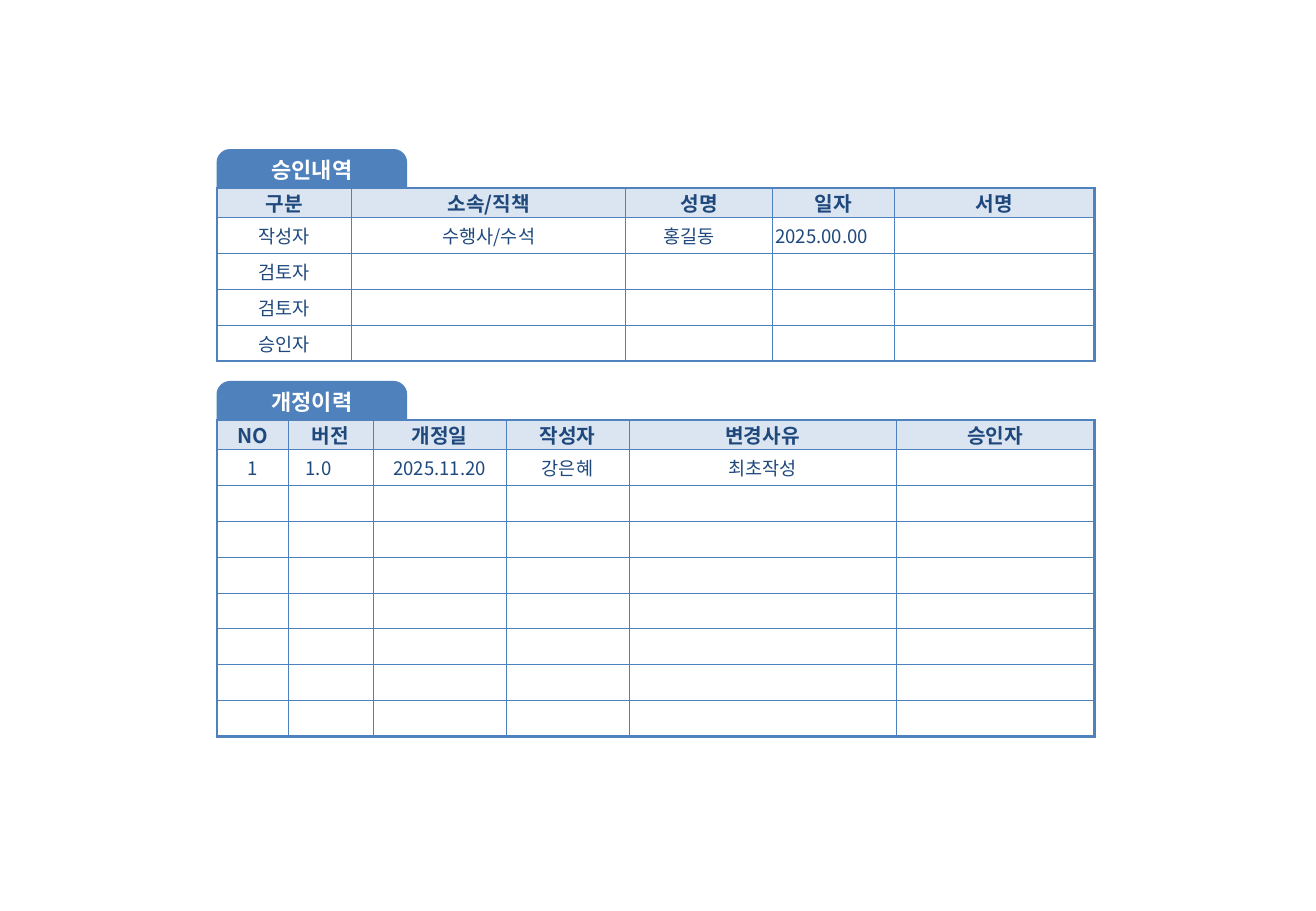
from dataclasses import dataclass, field

from lxml import etree
from pptx import Presentation
from pptx import util as u
from pptx.dml import color
from pptx.enum import shapes, text
from pptx.oxml import ns


@dataclass(frozen=True)
class Theme:
    font: str = "Noto Sans CJK KR"
    blue: str = "4F81BD"
    navy: str = "1F497D"
    pale: str = "DBE5F1"
    white: str = "FFFFFF"
    tab: float = 13
    head: float = 12
    body: float = 11
    thick: float = 1.5
    thin: float = 0.5


@dataclass(frozen=True)
class Section:
    title: str
    top: float
    widths: list[float]
    heads: list[str]
    rows: list[list[str]]
    pads: dict[int, float] = field(default_factory=dict)  # right inset by column


THEME = Theme()

# Shared measures in centimetres
LEFT, TAB_W, TAB_H = 4.54, 3.96, 0.8
HEAD_H, ROW_H = 0.62, 0.75

SECTIONS = [
    Section(
        "승인내역", 3.13,
        [2.81, 5.73, 3.07, 2.55, 4.18],
        ["구분", "소속/직책", "성명", "일자", "서명"],
        [["작성자", "수행사/수석", "홍길동", "2025.00.00"],
         ["검토자"], ["검토자"], ["승인자"]],
        {2: 0.42, 3: 0.5},
    ),
    Section(
        "개정이력", 7.98,
        [1.48, 1.78, 2.78, 2.57, 5.58, 4.15],
        ["NO", "버전", "개정일", "작성자", "변경사유", "승인자"],
        [["1", "1.0", "2025.11.20", "강은혜", "최초작성"]] + [[]] * 7,
        {1: 0.5},
    ),
]


def rgb(code: str) -> color.RGBColor:
    return color.RGBColor.from_string(code)


def write(frame, words: str, size: float, hue: str, bold: bool) -> None:
    para = frame.paragraphs[0]
    para.alignment = text.PP_ALIGN.CENTER
    if not words:
        # Keeps an empty cell from growing its row
        etree.SubElement(para._p, ns.qn("a:endParaRPr"), sz=str(int(size * 100)))
        return
    run = para.add_run()
    run.text = words
    font = run.font
    font.size, font.bold, font.name = u.Pt(size), bold, THEME.font
    font.color.rgb = rgb(hue)
    etree.SubElement(run._r.rPr, ns.qn("a:ea"), typeface=THEME.font)


def border(cell, outer: dict[str, bool]) -> None:
    props = cell._tc.get_or_add_tcPr()
    for side, edge in outer.items():
        width = u.Pt(THEME.thick if edge else THEME.thin)
        line = etree.SubElement(props, ns.qn(f"a:ln{side}"), w=str(int(width)))
        fill = etree.SubElement(line, ns.qn("a:solidFill"))
        etree.SubElement(fill, ns.qn("a:srgbClr"), val=THEME.blue)


def draw_grid(slide, part: Section) -> None:
    data = [part.heads] + part.rows
    tall, wide = len(data), len(part.widths)
    frame = slide.shapes.add_table(
        tall, wide, u.Cm(LEFT), u.Cm(part.top + TAB_H),
        u.Cm(sum(part.widths)), u.Cm(HEAD_H + ROW_H * len(part.rows)))
    table = frame.table
    table.first_row = table.horz_banding = False
    for col, width in zip(table.columns, part.widths):
        col.width = u.Cm(width)
    for r, row in enumerate(table.rows):
        head = r == 0
        row.height = u.Cm(HEAD_H if head else ROW_H)
        for c, cell in enumerate(row.cells):
            words = data[r][c] if c < len(data[r]) else ""
            cell.margin_left = cell.margin_top = cell.margin_bottom = 0
            cell.margin_right = u.Cm(0 if head else part.pads.get(c, 0))
            cell.vertical_anchor = text.MSO_ANCHOR.MIDDLE
            border(cell, {"L": c == 0, "R": c == wide - 1,
                          "T": head, "B": r == tall - 1})
            if head:
                cell.fill.solid()
                cell.fill.fore_color.rgb = rgb(THEME.pale)
            else:
                cell.fill.background()
            size = THEME.head if head else THEME.body
            write(cell.text_frame, words, size, THEME.navy, head)


def draw_tab(slide, part: Section) -> None:
    tab = slide.shapes.add_shape(
        shapes.MSO_SHAPE.ROUND_2_SAME_RECTANGLE,
        u.Cm(LEFT), u.Cm(part.top), u.Cm(TAB_W), u.Cm(TAB_H))
    tab.adjustments[0], tab.adjustments[1] = 0.34, 0
    tab.shadow.inherit = False
    tab.fill.solid()
    tab.fill.fore_color.rgb = rgb(THEME.blue)
    tab.line.color.rgb = rgb(THEME.blue)
    tab.line.width = u.Pt(0.75)
    frame = tab.text_frame
    frame.margin_left = frame.margin_right = u.Cm(0.1)
    frame.margin_top, frame.margin_bottom = 0, u.Cm(0.05)
    frame.vertical_anchor = text.MSO_ANCHOR.MIDDLE
    write(frame, part.title, THEME.tab, THEME.white, True)


def main() -> None:
    deck = Presentation()
    deck.slide_width, deck.slide_height = u.Cm(27.51), u.Cm(19.05)
    slide = deck.slides.add_slide(deck.slide_layouts[6])
    # Each section is a table with a heading tab on top
    for part in SECTIONS:
        draw_grid(slide, part)
        draw_tab(slide, part)
    deck.save("out.pptx")


if __name__ == "__main__":
    main()
